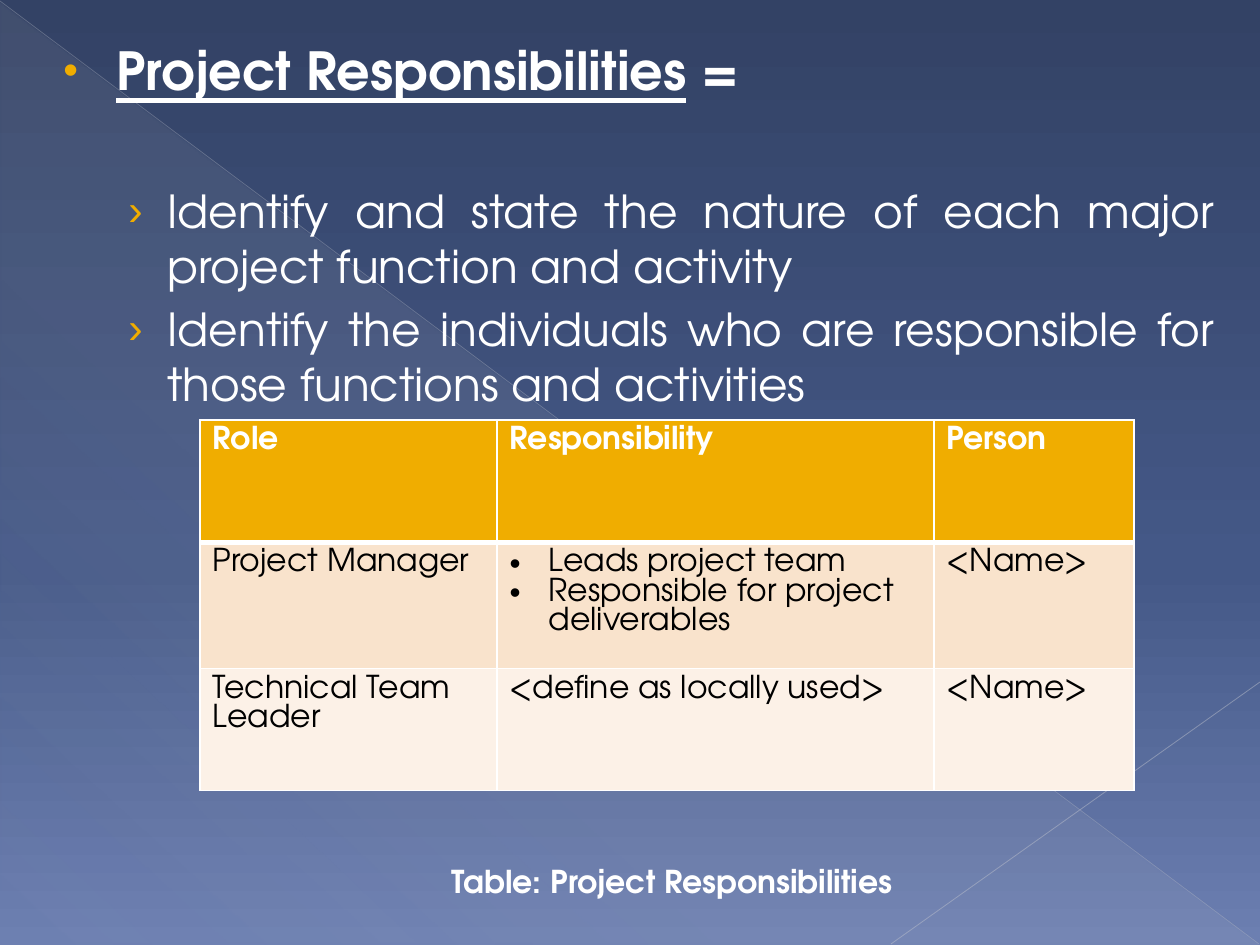
from lxml.etree import SubElement
from pptx import Presentation
from pptx.dml.color import RGBColor
from pptx.enum.shapes import MSO_CONNECTOR, MSO_SHAPE
from pptx.enum.text import PP_ALIGN
from pptx.oxml.ns import qn
from pptx.util import Emu, Pt

FONT = "TeX Gyre Adventor"
WHITE, BLACK, AMBER = "FFFFFF", "000000", "F0AD00"
ROW_FILLS = [AMBER, "F9E3CC", "FCF1E7"]


def px(n):
    return Emu(round(n * 914400 / 126))


def rgb(code):
    return RGBColor.from_string(code)


def add_color(parent, code, alpha=100):
    color = SubElement(parent, qn("a:srgbClr"), val=code)
    if alpha < 100:
        SubElement(color, qn("a:alpha"), val=str(alpha * 1000))


def set_gradient(fill, root, stops, angle):
    """Give root a linear gradient; stops are (percent, colour, opacity)."""
    fill.gradient()
    grad = root.find(".//" + qn("a:gradFill"))
    for child in list(grad):
        grad.remove(child)
    stop_list = SubElement(grad, qn("a:gsLst"))
    for position, code, alpha in stops:
        stop = SubElement(stop_list, qn("a:gs"), pos=str(position * 1000))
        add_color(stop, code, alpha)
    SubElement(grad, qn("a:lin"), ang=str(angle * 60000), scaled="0")


def set_bullet(paragraph, char, left, hang, color=None, size=100):
    props = paragraph._p.get_or_add_pPr()
    props.set("marL", str(px(left)))
    props.set("indent", str(-px(hang)))
    if color:
        add_color(SubElement(props, qn("a:buClr")), color)
    SubElement(props, qn("a:buSzPct"), val=str(size * 1000))
    SubElement(props, qn("a:buFont"), typeface="Arial")
    SubElement(props, qn("a:buChar"), char=char)


def write(paragraph, text, size=18, color=WHITE, bold=False, underline=False,
          align=None, before=0):
    run = paragraph.add_run()
    run.text = text
    font = run.font
    font.name, font.size, font.bold, font.underline = FONT, Pt(size), bold, underline
    font.color.rgb = rgb(color)
    if align is not None:
        paragraph.alignment = align
    if before:
        paragraph.space_before = Pt(before)


def set_borders(cell, bottom=1, top=1):
    props = cell._tc.get_or_add_tcPr()
    widths = {"a:lnL": 1, "a:lnR": 1, "a:lnT": top, "a:lnB": bottom}
    for index, (tag, width) in enumerate(widths.items()):
        line = SubElement(props, qn(tag), w=str(Pt(width)))
        add_color(SubElement(line, qn("a:solidFill")), WHITE)
        props.insert(index, line)


class Deck:
    """Holds the presentation and the slide being built."""

    def __init__(self, width, height):
        self.prs = Presentation()
        self.prs.slide_width, self.prs.slide_height = px(width), px(height)
        self.slide = self.prs.slides.add_slide(self.prs.slide_layouts[6])

    def background(self, stops, angle):
        set_gradient(self.slide.background.fill, self.slide.element, stops, angle)

    def triangle(self, box, stops, angle):
        shape = self.slide.shapes.add_shape(MSO_SHAPE.RIGHT_TRIANGLE, *map(px, box))
        shape.shadow.inherit = False
        shape.line.fill.background()
        set_gradient(shape.fill, shape.element, stops, angle)

    def line(self, ends, color, width, alpha):
        connector = self.slide.shapes.add_connector(
            MSO_CONNECTOR.STRAIGHT, *map(px, ends))
        connector.line.width = Pt(width)
        connector.line.color.rgb = rgb(color)
        code = connector.element.find(".//" + qn("a:ln")).find(".//" + qn("a:srgbClr"))
        SubElement(code, qn("a:alpha"), val=str(alpha * 1000))
        SubElement(connector.element.spPr, qn("a:effectLst"))

    def text(self, box):
        frame = self.slide.shapes.add_textbox(*map(px, box)).text_frame
        frame.word_wrap = True
        return frame

    def table(self, box, widths, rows):
        """Cells are strings, or lists of strings for bullets."""
        table = self.slide.shapes.add_table(
            len(rows), len(widths), *map(px, box)).table
        for column, width in zip(table.columns, widths):
            column.width = px(width)
        for r, row in enumerate(rows):
            header = r == 0
            for c, content in enumerate(row):
                cell = table.cell(r, c)
                cell.fill.solid()
                cell.fill.fore_color.rgb = rgb(ROW_FILLS[r])
                set_borders(cell, bottom=3 if header else 1, top=3 if r == 1 else 1)
                bulleted = isinstance(content, list)
                for i, item in enumerate(content if bulleted else [content]):
                    frame = cell.text_frame
                    paragraph = frame.add_paragraph() if i else frame.paragraphs[0]
                    write(paragraph, item, color=WHITE if header else BLACK, bold=header)
                    if bulleted:
                        set_bullet(paragraph, "•", 39, 39)


def main():
    deck = Deck(1260, 945)
    deck.background([(0, "334265", 100), (60, "445887", 100), (100, "6C7FB1", 100)], 90)
    deck.triangle((1, 3, 1258, 942),
                  [(0, "D4D4D6", 10), (70, "D4D4D6", 8), (100, "D4D4D6", 1)], 133)
    deck.line((0, 1, 1259, 944), "B9BDC8", 0.39, 35)
    deck.line((1260, 682, 891, 944), "C1C4CE", 0.47, 45)

    body = deck.text((42, 32, 1186, 380))
    heading = body.paragraphs[0]
    write(heading, "Project Responsibilities", size=30, bold=True, underline=True)
    write(heading, " =", size=30, bold=True, align=PP_ALIGN.JUSTIFY)
    set_bullet(heading, "•", 62, 53, AMBER, 80)
    duties = [
        ("Identify and state the nature of each major project function and activity", 47),
        ("Identify the individuals who are responsible for those functions and activities", 5),
    ]
    for duty, before in duties:
        paragraph = body.add_paragraph()
        write(paragraph, duty, size=26, align=PP_ALIGN.JUSTIFY, before=before)
        set_bullet(paragraph, "›", 113, 39, AMBER, 95)

    caption = deck.text((116, 856, 1112, 50))
    write(caption.paragraphs[0], "Table: Project Responsibilities", bold=True,
          align=PP_ALIGN.CENTER)

    deck.table((200, 420, 934, 367), [297, 437, 200], [
        ["Role", "Responsibility", "Person"],
        ["Project Manager",
         ["Leads project team", "Responsible for project deliverables"], "<Name>"],
        ["Technical Team Leader", "<define as locally used>", "<Name>"],
    ])
    deck.prs.save("out.pptx")


if __name__ == "__main__":
    main()
